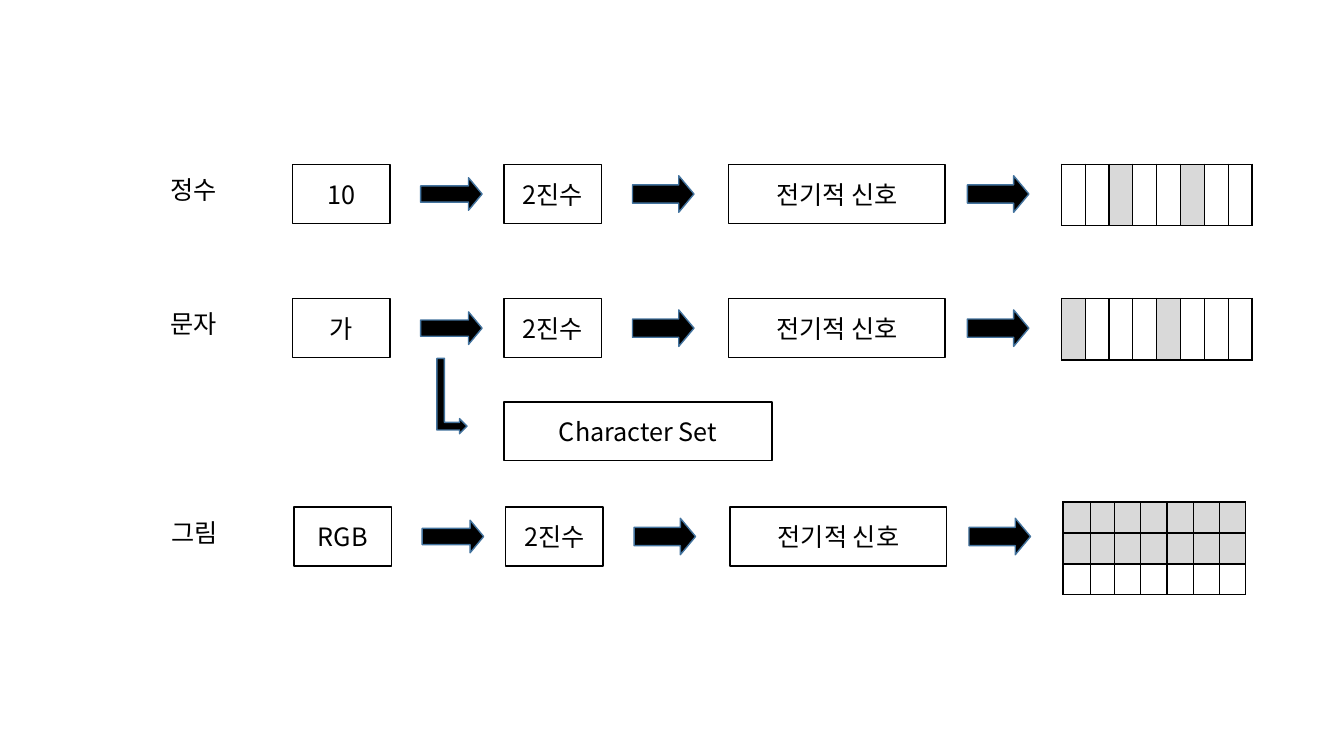
from dataclasses import dataclass

from lxml import etree
from pptx import Presentation
from pptx.dml.color import RGBColor
from pptx.enum.shapes import MSO_SHAPE
from pptx.enum.text import MSO_ANCHOR, PP_ALIGN
from pptx.oxml.ns import qn
from pptx.util import Cm, Pt

RECT = MSO_SHAPE.RECTANGLE
RIGHT_ARROW = MSO_SHAPE.RIGHT_ARROW
BENT_ARROW = MSO_SHAPE.BENT_UP_ARROW
CENTER, LEFT = PP_ALIGN.CENTER, PP_ALIGN.LEFT
MIDDLE = MSO_ANCHOR.MIDDLE


@dataclass(frozen=True)
class Theme:
    """Colours, font and type sizes of the slide."""
    ink: str = "000000"
    paper: str = "FFFFFF"
    bit: str = "D9D9D9"
    arrow_line: str = "43739E"
    font: str = "Noto Sans CJK KR"
    size: int = 18
    cell_size: int = 8
    line: int = 1


THEME = Theme()
BOX_W, BOX_H = 2.46, 1.48
SIGNAL_W = 5.46
BINARY_X = 12.7


def rgb(code):
    """Return the colour for a hex code."""
    return RGBColor.from_string(code)


def write(tf, text, align):
    """Put one formatted paragraph in a text frame."""
    p = tf.paragraphs[0]
    p.alignment = align
    r = p.add_run()
    r.text = text
    formats = {"name": THEME.font, "size": Pt(THEME.size)}
    for key, value in formats.items():
        setattr(r.font, key, value)
    r.font.color.rgb = rgb(THEME.ink)
    ea = etree.SubElement(r.font._element, qn("a:ea"))
    ea.set("typeface", THEME.font)


def add_figure(slide, kind, x, y, w, h, fill, line):
    """Add a flat preset shape with a fill and an outline."""
    sp = slide.shapes.add_shape(kind, Cm(x), Cm(y), Cm(w), Cm(h))
    sp.shadow.inherit = False
    sp.fill.solid()
    sp.fill.fore_color.rgb = rgb(fill)
    sp.line.color.rgb = rgb(line)
    sp.line.width = Pt(THEME.line)
    return sp


def add_box(slide, text, x, y, w=BOX_W):
    """Add an outlined box with centred text."""
    sp = add_figure(slide, RECT, x, y, w, BOX_H, THEME.paper, THEME.ink)
    sp.text_frame.vertical_anchor = MIDDLE
    write(sp.text_frame, text, CENTER)


def add_arrow(slide, x, y, h):
    """Add a black arrow to the right, centred on height y."""
    sp = add_figure(slide, RIGHT_ARROW, x, y - h / 2, 1.55, h,
                    THEME.ink, THEME.arrow_line)
    sp.adjustments[1] = 0.417


def add_label(slide, text, x, y):
    """Add the row label."""
    sp = slide.shapes.add_textbox(Cm(x), Cm(y), Cm(1.86), Cm(1.02))
    sp.text_frame.word_wrap = True
    write(sp.text_frame, text, LEFT)


def format_cell(cell, fill):
    """Fill an empty cell and draw its borders."""
    for side in ("left", "right", "top", "bottom"):
        setattr(cell, f"margin_{side}", 0)
    p = cell.text_frame.paragraphs[0]._p
    etree.SubElement(p, qn("a:endParaRPr"), sz=str(THEME.cell_size * 100))
    cell.fill.solid()
    cell.fill.fore_color.rgb = rgb(fill)
    tc_pr = cell._tc.get_or_add_tcPr()
    for i, tag in enumerate(("a:lnL", "a:lnR", "a:lnT", "a:lnB")):
        ln = etree.Element(qn(tag), w=str(Pt(THEME.line)))
        solid = etree.SubElement(ln, qn("a:solidFill"))
        etree.SubElement(solid, qn("a:srgbClr"), val=THEME.ink)
        tc_pr.insert(i, ln)


def add_bits(slide, x, y, widths, height, rows):
    """Add a table whose cells marked 1 are shaded."""
    table = slide.shapes.add_table(
        len(rows), len(widths), Cm(x), Cm(y),
        Cm(sum(widths)), Cm(height * len(rows))).table
    table.first_row = table.horz_banding = False
    for column, width in zip(table.columns, widths):
        column.width = Cm(width)
    for i, bits in enumerate(rows):
        table.rows[i].height = Cm(height)
        for j, bit in enumerate(bits):
            format_cell(table.cell(i, j),
                        THEME.bit if bit == "1" else THEME.paper)


def add_flow(slide, label, value, y, dx=0):
    """Add one row from a value to its electric signal."""
    add_label(slide, label, 4.04 + dx, y + 0.12)
    add_box(slide, value, 7.37 + dx, y)
    add_box(slide, "2진수", BINARY_X + dx, y)
    add_box(slide, "전기적 신호", 18.36 + dx, y, SIGNAL_W)
    for x, h in ((10.6, 0.82), (15.94, 0.92), (24.38, 0.92)):
        add_arrow(slide, x + dx, y + BOX_H / 2, h)


def main():
    """Build the slide and save it."""
    prs = Presentation()
    prs.slide_width, prs.slide_height = Cm(33.87), Cm(19.05)
    slide = prs.slides.add_slide(prs.slide_layouts[6])

    byte = [0.6] * 8
    pixels = [0.69, 0.61] + [0.66] * 5
    flows = (
        ("정수", "10", 4.15, 0, 4.14, byte, 1.55, ["00100100"]),
        ("문자", "가", 7.53, 0, 7.52, byte, 1.55, ["10001000"]),
        ("그림", "RGB", 12.78, 0.04, 12.65, pixels, 0.78,
         ["1111111", "1111111", "0000000"]),
    )
    for label, value, y, dx, bits_y, widths, height, rows in flows:
        add_flow(slide, label, value, y, dx)
        add_bits(slide, 26.75 + dx, bits_y, widths, height, rows)

    sp = add_figure(slide, BENT_ARROW, 10.44, 9.6, 1.9, 0.76,
                    THEME.ink, THEME.arrow_line)
    sp.rotation = 90
    add_box(slide, "Character Set", BINARY_X, 10.13, 6.76)
    prs.save("out.pptx")


if __name__ == "__main__":
    main()
